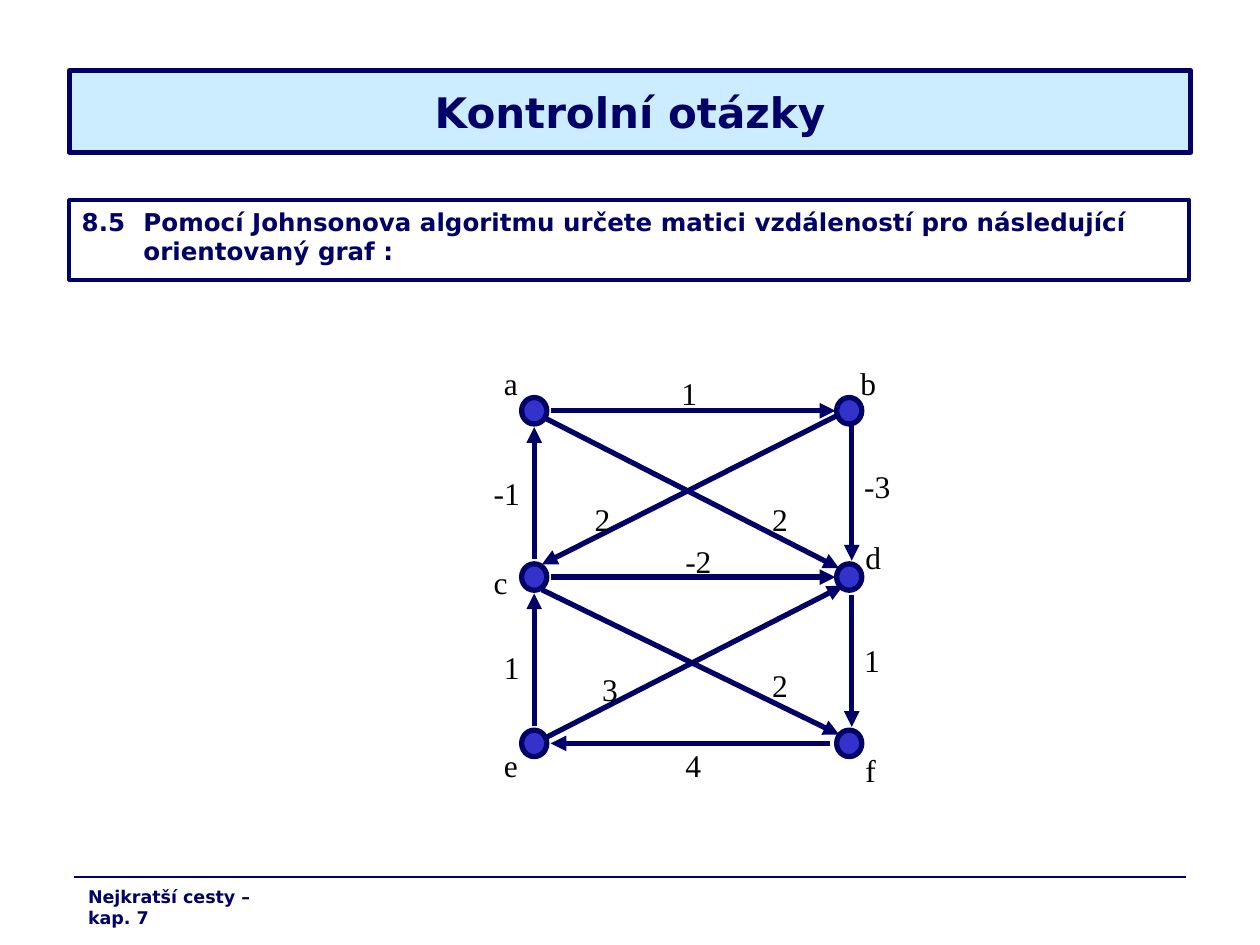
"""Build a review-question slide with a weighted directed graph."""
import pptx
import pptx.util
import pptx.dml.color
import pptx.enum.shapes
import pptx.enum.text
import pptx.oxml.ns
import lxml.etree

NAVY, SKY, BLUE, BLACK = "000066", "CCECFF", "3333CC", "000000"
SANS, SERIF = "DejaVu Sans", "Times New Roman"
WIDTH, HEIGHT = 10, 7.5
TITLE = "Kontrolní otázky"
QUESTION = ("8.5\tPomocí Johnsonova algoritmu určete matici vzdáleností "
            "pro následující orientovaný graf :")
FOOTER = "Nejkratší cesty – kap. 7"

COLS, ROWS = (4.24, 6.74), (3.26, 4.58, 5.9)
NODE_W, NODE_H = 0.2, 0.21
# name: column, row, label left and top
NODES = {
    "a": (0, 0, 3.9, 2.84), "b": (1, 0, 6.73, 2.84),
    "c": (0, 1, 3.82, 4.42), "d": (1, 1, 6.77, 4.22),
    "e": (0, 2, 3.9, 5.87), "f": (1, 2, 6.77, 5.91),
}
# ends, offset from each node, weight, label left and top
EDGES = [
    ("ed", (0.1, -0.05), (-0.05, 0.07), "3", 4.68, 5.27),
    ("cd", (0.13, 0), (-0.11, 0), "-2", 5.34, 4.25),
    ("fe", (-0.15, 0), (0.13, 0), "4", 5.34, 5.87),
    ("ec", (0, -0.14), (0, 0.13), "1", 3.9, 5.09),
    ("ab", (0.13, 0), (-0.11, 0), "1", 5.31, 2.92),
    ("ad", (0.03, 0.03), (-0.08, -0.07), "2", 6.03, 3.92),
    ("bd", (0.02, 0.06), (0.02, -0.13), "-3", 6.76, 3.66),
    ("cf", (0.06, 0.1), (-0.08, -0.07), "2", 6.03, 5.24),
    ("bc", (-0.08, 0.03), (0.06, -0.1), "2", 4.62, 3.92),
    ("ca", (0, -0.14), (0, 0.13), "-1", 3.82, 3.71),
    ("df", (0.02, 0.14), (0.02, -0.13), "1", 6.76, 5.04),
]
LABEL_W = {"a": 0.31, "c": 0.31, "e": 0.31, "f": 0.28}

prs = pptx.Presentation()
prs.slide_width = pptx.util.Inches(WIDTH)
prs.slide_height = pptx.util.Inches(HEIGHT)
s = prs.slides.add_slide(prs.slide_layouts[6])


def inches(*values):
    return [pptx.util.Inches(v) for v in values]


def color(value):
    return pptx.dml.color.RGBColor.from_string(value)


def add_outlined(kind, box, fill, weight):
    sp = s.shapes.add_shape(kind, *inches(*box))
    sp.shadow.inherit = False
    if fill:
        sp.fill.solid()
        sp.fill.fore_color.rgb = color(fill)
    else:
        sp.fill.background()
    sp.line.color.rgb = color(NAVY)
    sp.line.width = pptx.util.Pt(weight)
    return sp


def write(sp, text, size, font, ink, bold=False, before=0, after=0,
          align="LEFT", anchor="TOP", wrap=True):
    tf = sp.text_frame
    tf.word_wrap = wrap
    tf.vertical_anchor = pptx.enum.text.MSO_ANCHOR[anchor]
    p = tf.paragraphs[0]
    p.alignment = pptx.enum.text.PP_ALIGN[align]
    p.space_before, p.space_after = pptx.util.Pt(before), pptx.util.Pt(after)
    r = p.add_run()
    r.text = text
    r.font.size, r.font.name, r.font.bold = pptx.util.Pt(size), font, bold
    r.font.color.rgb = color(ink)
    return p


def add_line(start, end, weight, arrow=False):
    line = s.shapes.add_connector(pptx.enum.shapes.MSO_CONNECTOR.STRAIGHT,
                                  *inches(*start, *end))
    line.line.color.rgb = color(NAVY)
    line.line.width = pptx.util.Pt(weight)
    qn = pptx.oxml.ns.qn
    if arrow:
        lxml.etree.SubElement(line.line._get_or_add_ln(), qn("a:tailEnd"), type="triangle")
    lxml.etree.SubElement(line._element.spPr, qn("a:effectLst"))


def add_label(text, left, top):
    width = LABEL_W.get(text, 0.23 + 0.09 * len(text))
    sp = s.shapes.add_textbox(*inches(left, top, width, 0.4))
    write(sp, text, 18, SERIF, BLACK, before=4.5, wrap=False)


def node_point(name, offset=(0, 0)):
    col, row = NODES[name][:2]
    return COLS[col] + offset[0], ROWS[row] + offset[1]


RECT = pptx.enum.shapes.MSO_SHAPE.RECTANGLE
OVAL = pptx.enum.shapes.MSO_SHAPE.OVAL

add_line((0.59, 6.96), (WIDTH - 0.59, 6.96), 0.75)
write(add_outlined(RECT, (0.55, 0.56, 8.9, 0.65), SKY, 3),
      TITLE, 24, SANS, NAVY, True, align="CENTER", anchor="MIDDLE")
p = write(add_outlined(RECT, (0.55, 1.59, 8.89, 0.63), None, 2.25),
          QUESTION, 14, SANS, NAVY, True, 3.5, 3.5)
indent = pptx.util.Inches(0.49)
p._p.get_or_add_pPr().set("marL", str(indent))
p._p.get_or_add_pPr().set("indent", str(-indent))
write(s.shapes.add_textbox(*inches(0.6, 6.98, 1.79, 0.27)),
      FOOTER, 10, SANS, NAVY, True, 2.5)

for (tail, head), leave, reach, weight, left, top in EDGES:
    add_line(node_point(tail, leave), node_point(head, reach), 3, True)
for name in NODES:
    x, y = node_point(name)
    add_outlined(OVAL, (x - NODE_W / 2, y - NODE_H / 2, NODE_W, NODE_H), BLUE, 3)
for *ends, weight, left, top in EDGES:
    add_label(weight, left, top)
for name, (col, row, left, top) in NODES.items():
    add_label(name, left, top)

prs.save("out.pptx")
